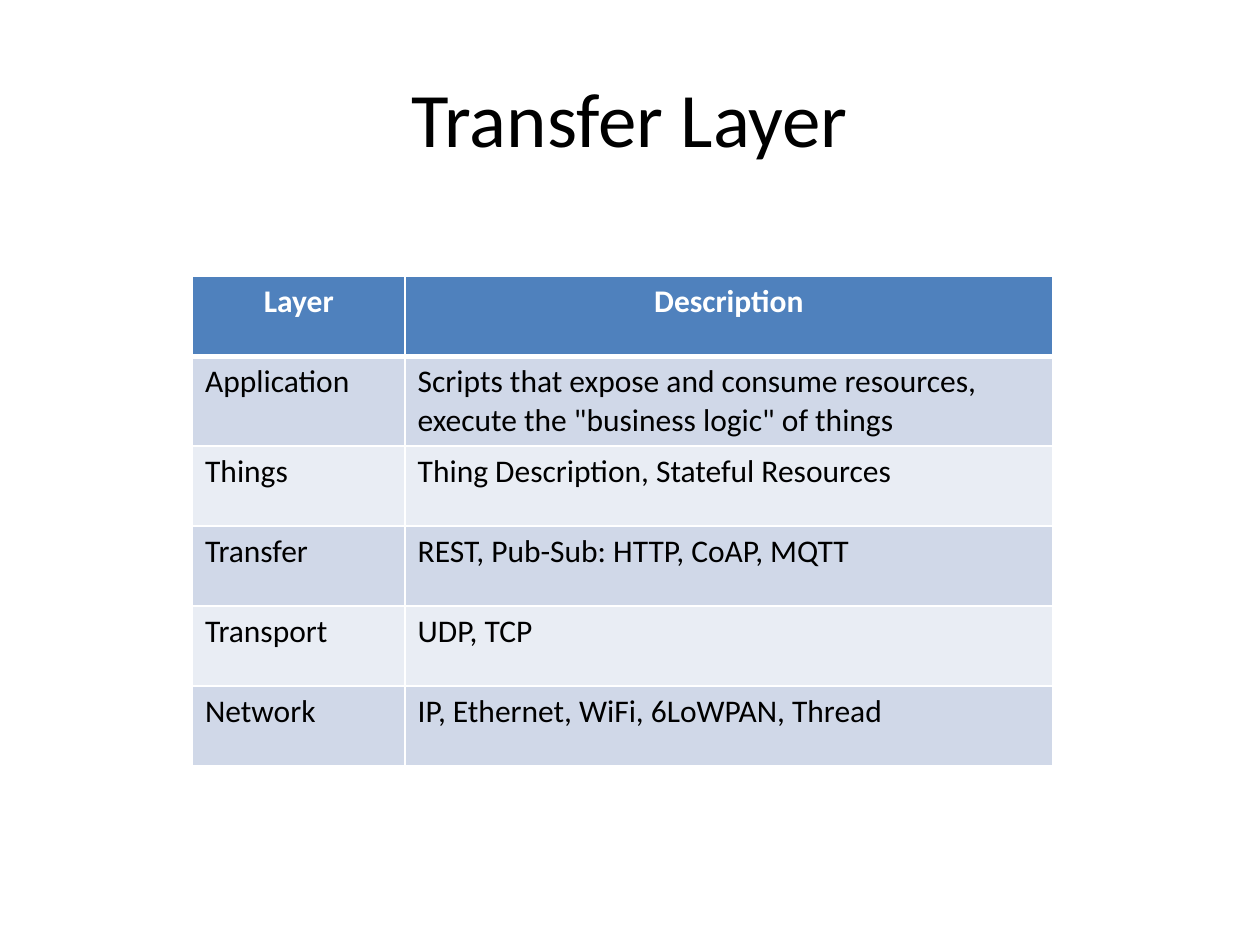
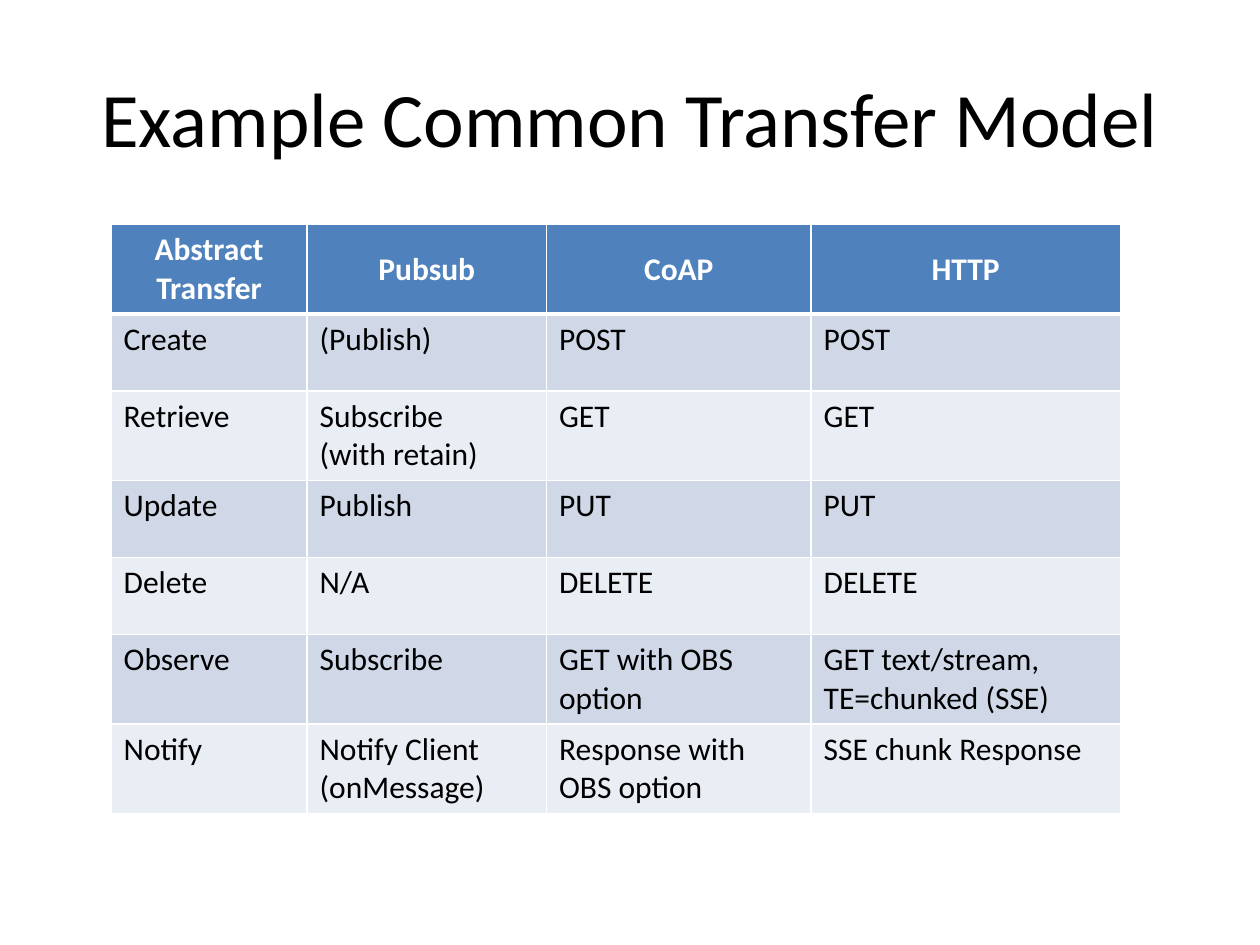
import pptx
import pptx.util
import pptx.dml.color
import pptx.enum.text
import pptx.oxml
from pptx.oxml.ns import nsdecls

Pt = pptx.util.Pt
ALIGN = pptx.enum.text.PP_ALIGN
ANCHOR = pptx.enum.text.MSO_ANCHOR

# Shared look
FONT = "Calibri"
BLACK, WHITE = "000000", "FFFFFF"
HEAD = "4F81BD"
BANDS = ["D0D8E8", "E9EDF4"]
THIN, THICK = 1, 3

LAYERS = [
    ["Layer", "Description"],
    ["Application", 'Scripts that expose and consume resources, '
                    'execute the "business logic" of things'],
    ["Things", "Thing Description, Stateful Resources"],
    ["Transfer", "REST, Pub-Sub: HTTP, CoAP, MQTT"],
    ["Transport", "UDP, TCP"],
    ["Network", "IP, Ethernet, WiFi, 6LoWPAN, Thread"],
]

MODEL = [
    ["Abstract Transfer", "Pubsub", "CoAP", "HTTP"],
    ["Create", "(Publish)", "POST", "POST"],
    ["Retrieve", "Subscribe\n(with retain)", "GET", "GET"],
    ["Update", "Publish", "PUT", "PUT"],
    ["Delete", "N/A", "DELETE", "DELETE"],
    ["Observe", "Subscribe", "GET with OBS option",
     "GET text/stream, TE=chunked (SSE)"],
    ["Notify", "Notify Client (onMessage)", "Response with OBS option",
     "SSE chunk Response"],
]


def color(code):
    return pptx.dml.color.RGBColor.from_string(code)


def style(frame, size, code, bold=False, align=ALIGN.LEFT):
    for para in frame.paragraphs:
        para.alignment = align
        for run in para.runs:
            run.font.name = FONT
            run.font.size = Pt(size)
            run.font.bold = bold
            run.font.color.rgb = color(code)


def add_slide(deck, title):
    """Add a title-only slide with a centred title."""
    slide = deck.slides.add_slide(deck.slide_layouts[5])
    slide.background.fill.solid()
    slide.background.fill.fore_color.rgb = color(WHITE)
    shape = slide.shapes.title
    shape.left, shape.top = Pt(36), Pt(21.6)
    shape.width, shape.height = Pt(648), Pt(90)
    frame = shape.text_frame
    frame.text = title
    frame.vertical_anchor = ANCHOR.MIDDLE
    style(frame, 44, BLACK, align=ALIGN.CENTER)
    return slide


def add_edges(cell, top, bottom):
    """Draw white borders; they must come before the cell's fill."""
    props = cell._tc.get_or_add_tcPr()
    for side, width in zip("LRTB", (THIN, THIN, top, bottom)):
        props.append(pptx.oxml.parse_xml(
            f'<a:ln{side} {nsdecls("a")} w="{Pt(width)}"><a:solidFill>'
            f'<a:srgbClr val="{WHITE}"/></a:solidFill></a:ln{side}>'))


def fill_cell(cell, text, row, anchor):
    head = row == 0
    add_edges(cell, THICK if row == 1 else THIN, THICK if head else THIN)
    cell.fill.solid()
    cell.fill.fore_color.rgb = color(HEAD if head else BANDS[(row - 1) % 2])
    cell.text_frame.text = text
    cell.vertical_anchor = anchor if head else ANCHOR.TOP
    style(cell.text_frame, 18, WHITE if head else BLACK, head,
          ALIGN.CENTER if head else ALIGN.LEFT)


def add_table(slide, left, top, widths, heights, rows, anchor=ANCHOR.TOP):
    """Add a table with a blue head row and two-tone bands."""
    table = slide.shapes.add_table(
        len(rows), len(widths), Pt(left), Pt(top),
        Pt(sum(widths)), Pt(sum(heights))).table
    for col, width in zip(table.columns, widths):
        col.width = Pt(width)
    for line, height in zip(table.rows, heights):
        line.height = Pt(height)
    for r, texts in enumerate(rows):
        for c, text in enumerate(texts):
            fill_cell(table.cell(r, c), text, r, anchor)


def main():
    deck = pptx.Presentation()
    deck.slide_width, deck.slide_height = Pt(720), Pt(540)

    # Layer stack
    slide = add_slide(deck, "Transfer Layer")
    add_table(slide, 110, 158, [121.5, 370], [45.72] * len(LAYERS), LAYERS)

    # Transfer verbs by protocol; rows with two lines are taller
    slide = add_slide(deck, "Example Common Transfer Model")
    low, tall = 44, 51
    add_table(slide, 63.5, 128.3, [112, 136.8, 151.2, 176.7],
              [tall, low, tall, low, low, tall, tall], MODEL, ANCHOR.MIDDLE)

    deck.save("out.pptx")


main()
